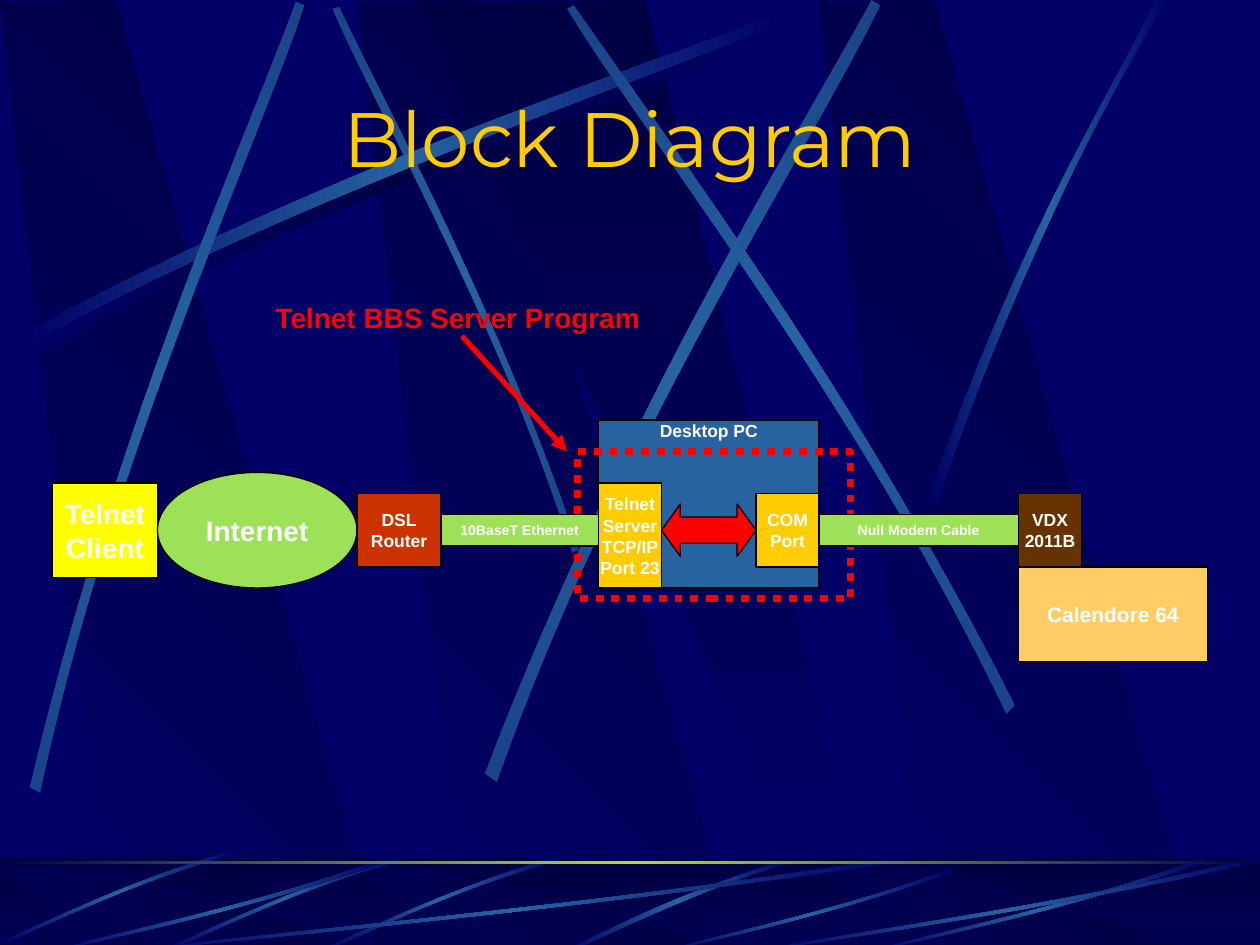
from pptx import Presentation
from pptx.dml.color import RGBColor
from pptx.enum.dml import MSO_LINE_DASH_STYLE as Dash
from pptx.enum.shapes import MSO_CONNECTOR as Link, MSO_SHAPE as Kind
from pptx.enum.text import MSO_ANCHOR as Anchor, PP_ALIGN as Align
from pptx.oxml.ns import qn
from pptx.util import Pt
from lxml.etree import SubElement

COLOURS = {
    "night": "000066", "deep": "000044", "steel": "2663A0", "dusk": "1A4389",
    "green": "9CE157", "gold": "FFCC00", "yellow": "FFFF00", "rust": "CC3300",
    "red": "FF0000", "sand": "FFCC66", "brown": "663300", "white": "FFFFFF",
    "black": "000000",
}

# The chain, left to right: lines, text size, top, width, height, fill, kind
CHAIN = [
    (["Telnet", "Client"], 16, 276, 60, 54, "yellow", Kind.RECTANGLE),
    (["Internet"], 16, 270, 114, 66, "green", Kind.OVAL),
    (["DSL", "Router"], 10, 282, 48, 42, "rust", Kind.RECTANGLE),
    (["10BaseT Ethernet"], 8, 294, 90, 18, "green", Kind.RECTANGLE),
    (["Telnet", "Server", "TCP/IP", "Port 23"], 10, 276, 36, 60, "gold", Kind.RECTANGLE),
    ([], 10, 288, 54, 30, "red", Kind.LEFT_RIGHT_ARROW),
    (["COM", "Port"], 10, 282, 36, 42, "gold", Kind.RECTANGLE),
    (["Null Modem Cable"], 8, 294, 114, 18, "green", Kind.RECTANGLE),
    (["VDX", "2011B"], 10, 282, 36, 42, "brown", Kind.RECTANGLE),
]
CHAIN_LEFT = 30

# Background: each ribbon is two cubic edges, four points each
SLAB = [(62, 540), (217, 541), (66, 0), (0, 1)]
SLAB_LEFTS = [204, 0, 468]
WEDGE = [(240, 1), (474, 541), (500, 541), (369, 0)]
LONG_RIBBON = [(10, 192), (200, 90), (373, 37), (446, 7),
               (449, 12), (376, 44), (179, 107), (12, 199)]
STREAKS = [  # points, end colour, clockwise gradient angle
    ([(331, 314), (281, 168), (217, 55), (194, 4),
      (190, 5), (212, 57), (287, 186), (327, 316)], "dusk", 45),
    (LONG_RIBBON, "night", 0),
    ([(17, 450), (67, 240), (142, 76), (169, 1),
      (174, 3), (149, 78), (62, 265), (23, 453)], "dusk", 311.7),
    ([(277, 442), (359, 230), (459, 73), (498, 0),
      (503, 3), (467, 78), (350, 256), (284, 447)], "dusk", 321.6),
    ([(580, 403), (482, 211), (372, 68), (328, 3),
      (324, 5), (365, 73), (493, 234), (575, 408)], "dusk", 34.8),
    ([(531, 283), (586, 125), (639, 48), (660, 0),
      (667, 0), (602, 104), (554, 232), (536, 286)], "night", 0),
]
FOOT_STREAK = [(451, 491), (387, 510), (343, 534), (323, 543),
               (326, 544), (353, 531), (411, 504), (452, 493)]
FOOT_ARC = [(318, 489.6), (256, 507.6), (207, 533), (184, 542),
            (185, 543.5), (207, 535), (263, 506), (319.5, 492)]
ARC_SHIFTS = [(0, 0), (-90, 0), (-184, -4)]
SWEEP = [(1, 0.04), (0.57, 0.57), (0.17, 0.85), (0, 1),
         (0, 0.99), (0.16, 0.81), (0.61, 0.51), (0.99, 0)]
SWEEP_BOXES = [(72, 490, 444, 54), (30, 490, 192, 54), (379.5, 496, 166, 48),
               (498, 490, 192, 54), (432, 490, 288, 54)]
FOOT_TOP = 489.6

deck = Presentation()
deck.slide_width, deck.slide_height = Pt(720), Pt(540)
page = deck.slides.add_slide(deck.slide_layouts[6])
page.background.fill.solid()
page.background.fill.fore_color.rgb = RGBColor.from_string(COLOURS["night"])


def paint(shape, colour):
    shape.fill.solid()
    shape.fill.fore_color.rgb = RGBColor.from_string(COLOURS[colour])


def shade(shape, names, angle=0):
    """Even gradient over the named colours, angle clockwise."""
    shape.fill.gradient()
    shape.fill.gradient_angle = -angle % 360
    stops = shape.element.spPr.find(qn("a:gradFill")).find(qn("a:gsLst"))
    stops.clear()
    for index, name in enumerate(names):
        stop = SubElement(stops, qn("a:gs"), pos=str(100000 * index // (len(names) - 1)))
        SubElement(stop, qn("a:srgbClr"), val=COLOURS[name])


def add_box(kind, left, top, width, height, line=None, weight=0.75):
    box = page.shapes.add_shape(kind, Pt(left), Pt(top), Pt(width), Pt(height))
    box.shadow.inherit = False
    if line:
        box.line.color.rgb = RGBColor.from_string(COLOURS[line])
        box.line.width = Pt(weight)
    else:
        box.line.fill.background()
    return box


def add_outline(points, names, angle=0):
    (x, y), *rest = [(Pt(x), Pt(y)) for x, y in points]
    builder = page.shapes.build_freeform(x, y)
    builder.add_line_segments(rest, close=True)
    outline = builder.convert_to_shape()
    outline.shadow.inherit = False
    outline.line.fill.background()
    shade(outline, names, angle)
    return outline


def add_ribbon(points, end="night", angle=0, middle="steel"):
    ribbon = add_outline(points, [end, middle, end], angle)
    # Turn the three segments of each long edge into one cubic curve
    segments = list(ribbon.element.spPr.iter(qn("a:lnTo")))
    for first, *others in (segments[:3], segments[4:7]):
        first.tag = qn("a:cubicBezTo")
        for segment in others:
            first.append(segment[0])
            segment.getparent().remove(segment)


def move(points, dx=0, dy=0, sx=1, sy=1):
    return [(x * sx + dx, y * sy + dy) for x, y in points]


def add_slabs(top, scale):
    for left in SLAB_LEFTS:
        add_outline(move(SLAB, left, top, sy=scale), ["night", "deep"], 315)
    add_outline(move(WEDGE, 0, top, sy=scale), ["deep", "night"], 90)


def write(box, lines, size, colour="white", font="Arial", bold=True,
          align=Align.CENTER, anchor=Anchor.MIDDLE, wrap=False):
    frame = box.text_frame
    frame.word_wrap = wrap
    frame.vertical_anchor = anchor
    for index, line in enumerate(lines):
        para = frame.add_paragraph() if index else frame.paragraphs[0]
        para.alignment = align
        span = para.add_run()
        span.text = line
        span.font.size, span.font.name, span.font.bold = Pt(size), font, bold
        span.font.color.rgb = RGBColor.from_string(COLOURS[colour])


# Background slabs and ribbons
add_slabs(0, 1)
add_ribbon(move(LONG_RIBBON, 4, 6), middle="deep")
for points, end, angle in STREAKS:
    add_ribbon(points, end, angle)

# Foot band
shade(add_box(Kind.RECTANGLE, 0, FOOT_TOP, 720, 54), ["deep", "night"], 90)
add_slabs(495.4, 0.09)
veil = add_box(Kind.RECTANGLE, 0, FOOT_TOP, 720, 54)
paint(veil, "deep")
SubElement(veil.element.spPr.find(qn("a:solidFill"))[0], qn("a:alpha"), val="50000")
add_ribbon(FOOT_STREAK)
for dx, dy in ARC_SHIFTS:
    add_ribbon(move(FOOT_ARC, dx, dy))
for left, top, width, height in SWEEP_BOXES:
    add_ribbon(move(SWEEP, left, top, width, height))
shade(add_box(Kind.RECTANGLE, 0, 492.2, 720, 1.8), ["deep", "green", "deep"])

# Title
title = page.shapes.add_textbox(Pt(54), Pt(48), Pt(612), Pt(60))
write(title, ["Block Diagram"], 44, "gold", "Montserrat", bold=False, wrap=True)

# Computer and the dotted program frame
computer = add_box(Kind.RECTANGLE, 342, 240, 126, 96, "black")
paint(computer, "steel")
computer.text_frame.margin_top = 0
write(computer, ["Desktop PC"], 10, anchor=Anchor.TOP)
program = add_box(Kind.RECTANGLE, 330, 258, 156, 84, "red", 4.5)
program.fill.background()
program.line.dash_style = Dash.ROUND_DOT

# Home computer below the last link
home = add_box(Kind.RECTANGLE, 582, 324, 108, 54, "black")
paint(home, "sand")
write(home, ["Calendore 64"], 12)

# Chain of blocks
left = CHAIN_LEFT
for lines, size, top, width, height, fill, kind in CHAIN:
    block = add_box(kind, left, top, width, height, "black")
    paint(block, fill)
    if kind == Kind.LEFT_RIGHT_ARROW:
        block.adjustments[1] = 0.36
    write(block, lines, size)
    left += width

# Program label and pointer
label = page.shapes.add_textbox(Pt(150.5), Pt(168), Pt(224), Pt(26.6))
write(label, ["Telnet BBS Server Program"], 16, "red", align=Align.LEFT, anchor=Anchor.TOP)
pointer = page.shapes.add_connector(Link.STRAIGHT, Pt(264), Pt(192), Pt(324), Pt(258))
pointer.line.color.rgb = RGBColor.from_string(COLOURS["red"])
pointer.line.width = Pt(3)
pointer_props = pointer.element.spPr
SubElement(pointer_props.find(qn("a:ln")), qn("a:tailEnd"), type="triangle")
SubElement(pointer_props, qn("a:effectLst"))

deck.save("out.pptx")
